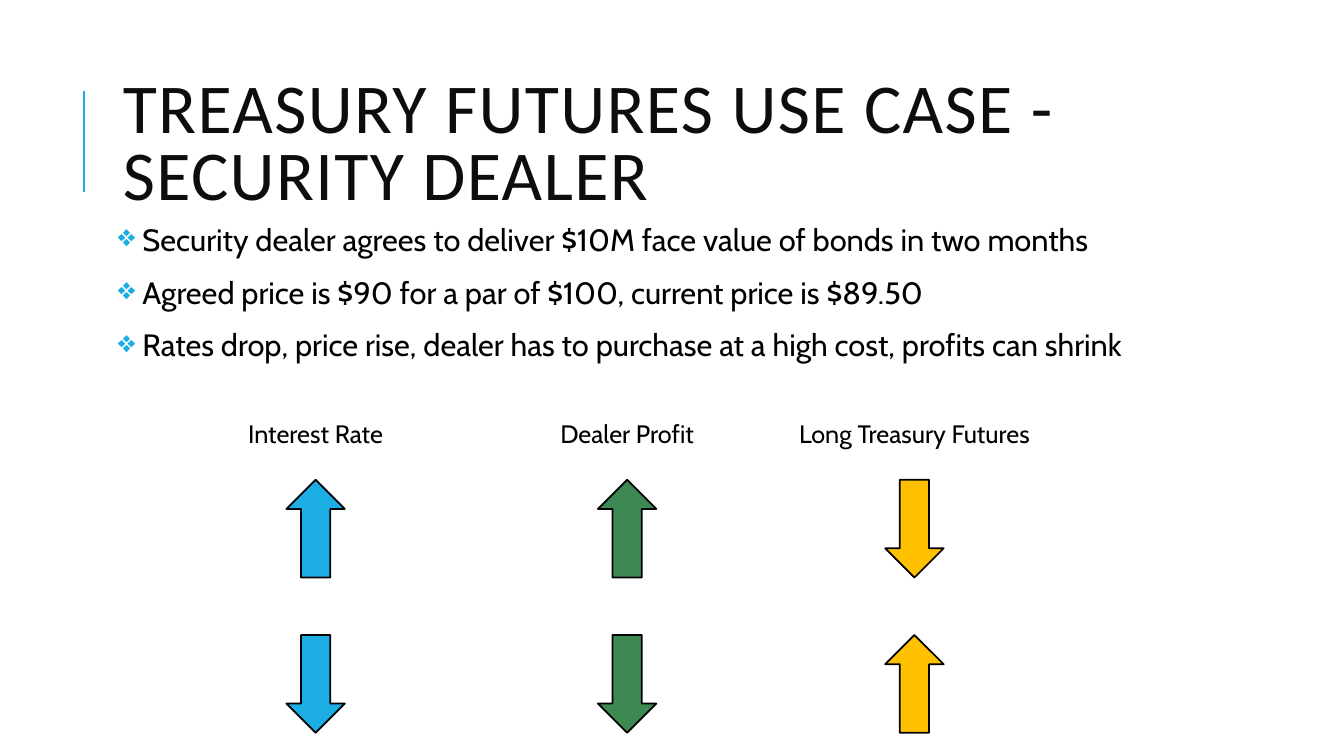
import pptx
import pptx.dml.color
import pptx.enum.shapes
import pptx.enum.text
import pptx.oxml
import pptx.oxml.ns
import pptx.util
import lxml.etree

Inches = pptx.util.Inches
Pt = pptx.util.Pt
SHAPE = pptx.enum.shapes.MSO_SHAPE
ANCHOR = pptx.enum.text.MSO_ANCHOR
ALIGN = pptx.enum.text.PP_ALIGN
qn = pptx.oxml.ns.qn

ACCENT = "1CADE4"
TITLE = "TREASURY FUTURES USE CASE - SECURITY DEALER"
POINTS = [
    " Security dealer agrees to deliver $10M face value of bonds in two months",
    " Agreed price is $90 for a par of $100, current price is $89.50",
    " Rates drop, price rise, dealer has to purchase at a high cost, profits can shrink",
]
MEASURES = [
    ("Interest Rate", 3.13, ACCENT, (SHAPE.UP_ARROW, SHAPE.DOWN_ARROW)),
    ("Dealer Profit", 6.22, "3E8853", (SHAPE.UP_ARROW, SHAPE.DOWN_ARROW)),
    ("Long Treasury Futures", 9.07, "FFC000", (SHAPE.DOWN_ARROW, SHAPE.UP_ARROW)),
]


def rgb(value):
    return pptx.dml.color.RGBColor.from_string(value)


def add_bullet(p, char, color, indent):
    pPr = p._p.get_or_add_pPr()
    pPr.set("marL", str(Inches(indent)))
    pPr.set("indent", str(-Inches(indent)))
    clr = lxml.etree.SubElement(pPr, qn("a:buClr"))
    lxml.etree.SubElement(clr, qn("a:srgbClr")).set("val", color)
    lxml.etree.SubElement(pPr, qn("a:buChar")).set("char", char)


def add_text(s, box, lines, size, font="Cabin", color="000000", align=ALIGN.LEFT,
             anchor=ANCHOR.TOP, inset=None, line_spacing=None, before=None,
             after=None, tracking=None, bullet=None):
    tf = s.shapes.add_textbox(*map(Inches, box)).text_frame
    tf.word_wrap = True
    tf.vertical_anchor = anchor
    if inset is not None:
        tf.margin_left = tf.margin_right = Inches(inset)
        tf.margin_top = tf.margin_bottom = Inches(inset)
    for i, line in enumerate(lines):
        p = tf.add_paragraph() if i else tf.paragraphs[0]
        p.alignment = align
        if line_spacing:
            p.line_spacing = line_spacing
        if before is not None:
            p.space_before = Pt(before)
        if after is not None:
            p.space_after = Pt(after)
        if bullet:
            add_bullet(p, bullet, ACCENT, 0.1)
        r = p.add_run()
        r.text = line
        r.font.size = Pt(size)
        r.font.name = font
        r.font.color.rgb = rgb(color)
        if tracking:
            r._r.get_or_add_rPr().set("spc", str(tracking * 100))


def add_title(s, left, top, width, height):
    x = left - 0.29
    rule = s.shapes.add_connector(
        pptx.enum.shapes.MSO_CONNECTOR.STRAIGHT,
        Inches(x), Inches(top + 1.26), Inches(x), Inches(top + 0.26))
    rule.line.color.rgb = rgb(ACCENT)
    rule.line.width = Pt(1.5)
    lxml.etree.SubElement(rule._element.spPr, qn("a:effectLst"))
    add_text(s, (left, top, width, height), [TITLE], 50, font="Calibri",
             color="0D0D0D", anchor=ANCHOR.MIDDLE, line_spacing=0.8, tracking=1)


def add_points(s, left, top, width, height):
    add_text(s, (left, top, width, height), POINTS, 22, inset=0.05,
             line_spacing=0.9, before=12, after=2, bullet="❖")


def add_measure(s, center, top, label, color, arrows):
    label_width, arrow_width, arrow_height = 2.7, 0.58, 0.97
    add_text(s, (center - label_width / 2, top, label_width, 0.4), [label], 18,
             align=ALIGN.CENTER)
    for row, kind in enumerate(arrows):
        sp = s.shapes.add_shape(
            kind, Inches(center - arrow_width / 2), Inches(top + 0.66 + row * 1.54),
            Inches(arrow_width), Inches(arrow_height))
        sp.shadow.inherit = False
        sp.fill.solid()
        sp.fill.fore_color.rgb = rgb(color)
        sp.line.color.rgb = rgb("000000")
        sp.line.width = Pt(1.25)


def main():
    prs = pptx.Presentation()
    prs.slide_width = Inches(13.33)
    prs.slide_height = Inches(7.5)
    s = prs.slides.add_slide(prs.slide_layouts[6])
    add_title(s, 1.12, 0.64, 10.63, 1.64)
    add_points(s, 1.12, 2.18, 11.46, 1.77)
    for label, center, color, arrows in MEASURES:
        add_measure(s, center, 4.1, label, color, arrows)
    prs.save("out.pptx")


if __name__ == "__main__":
    main()
